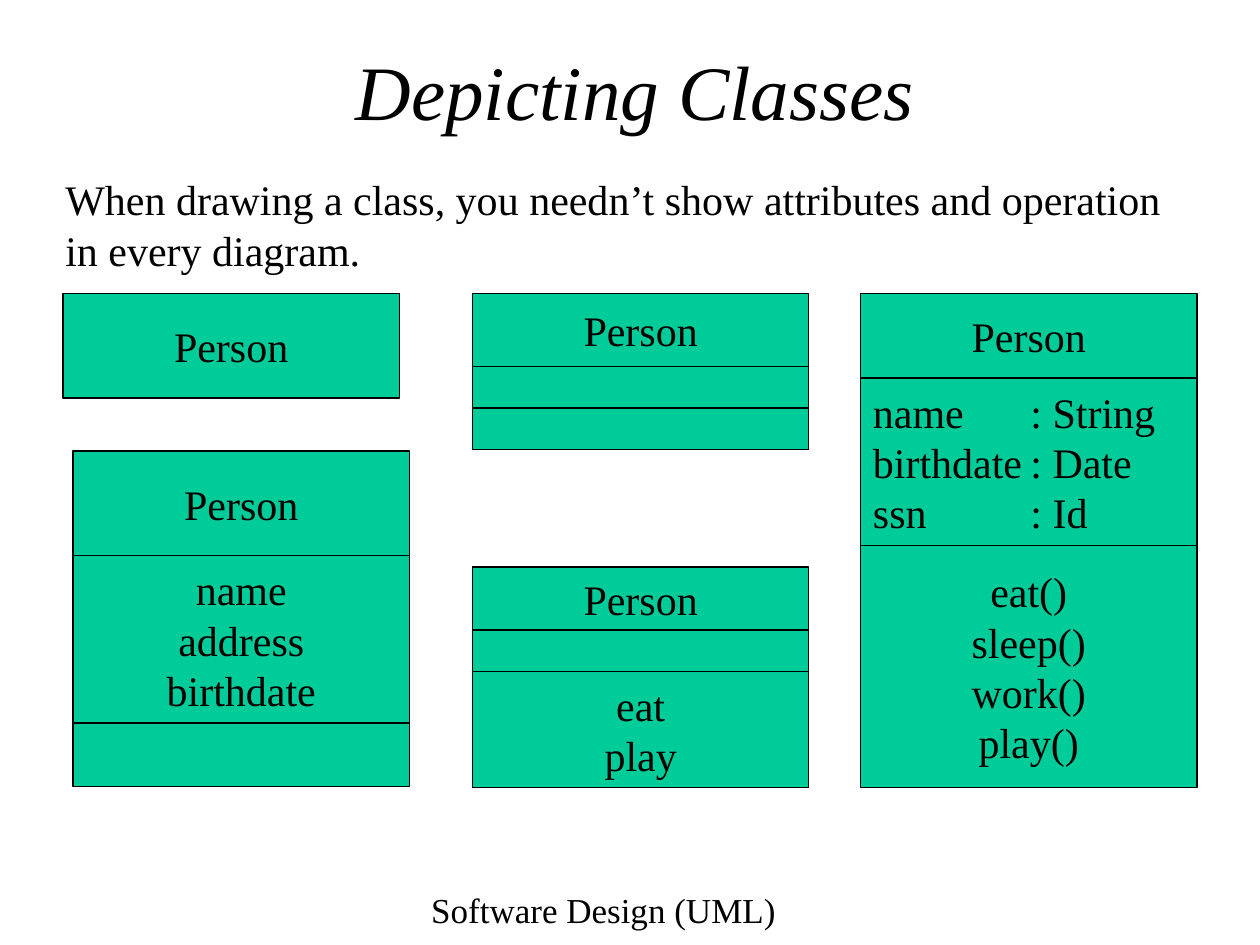
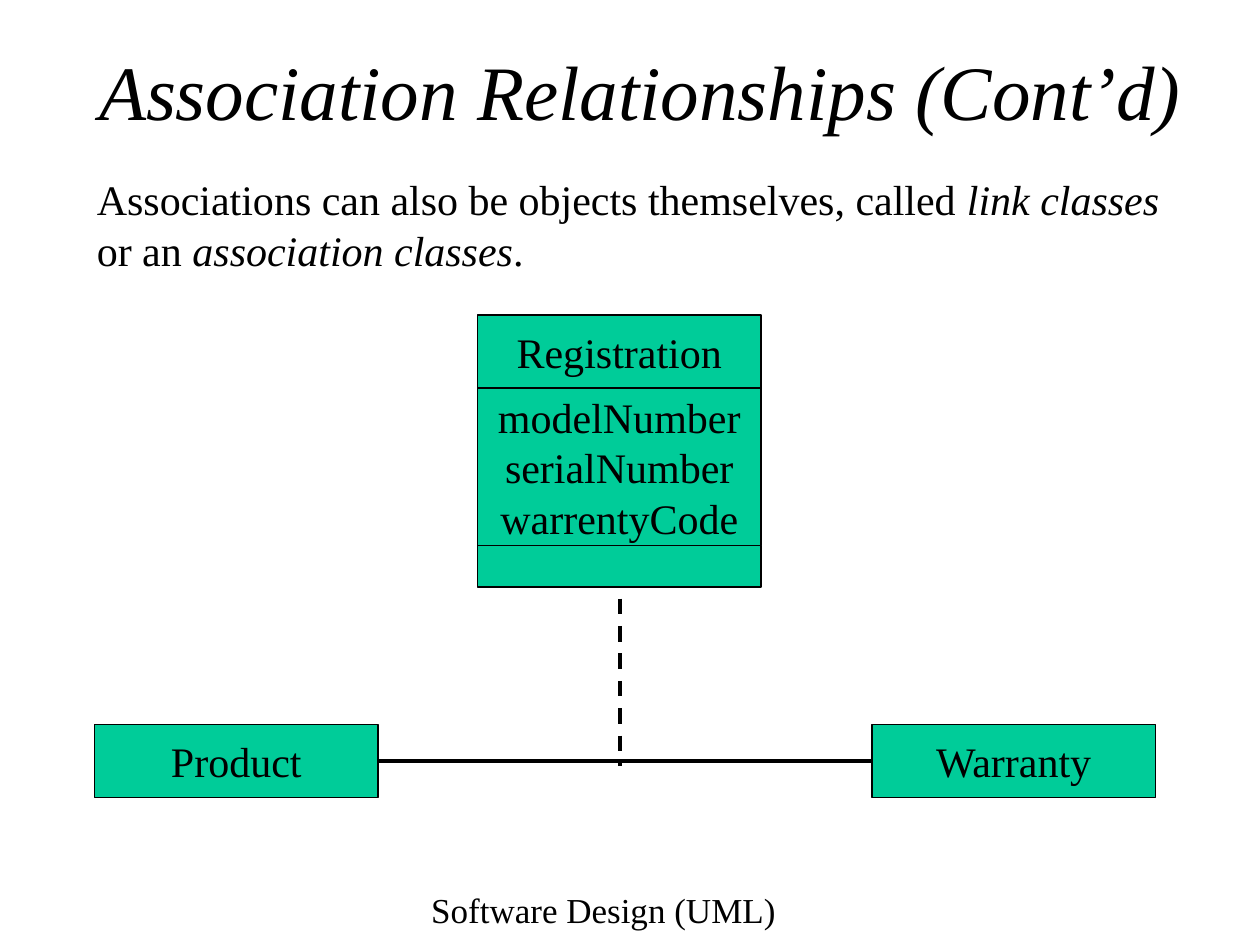
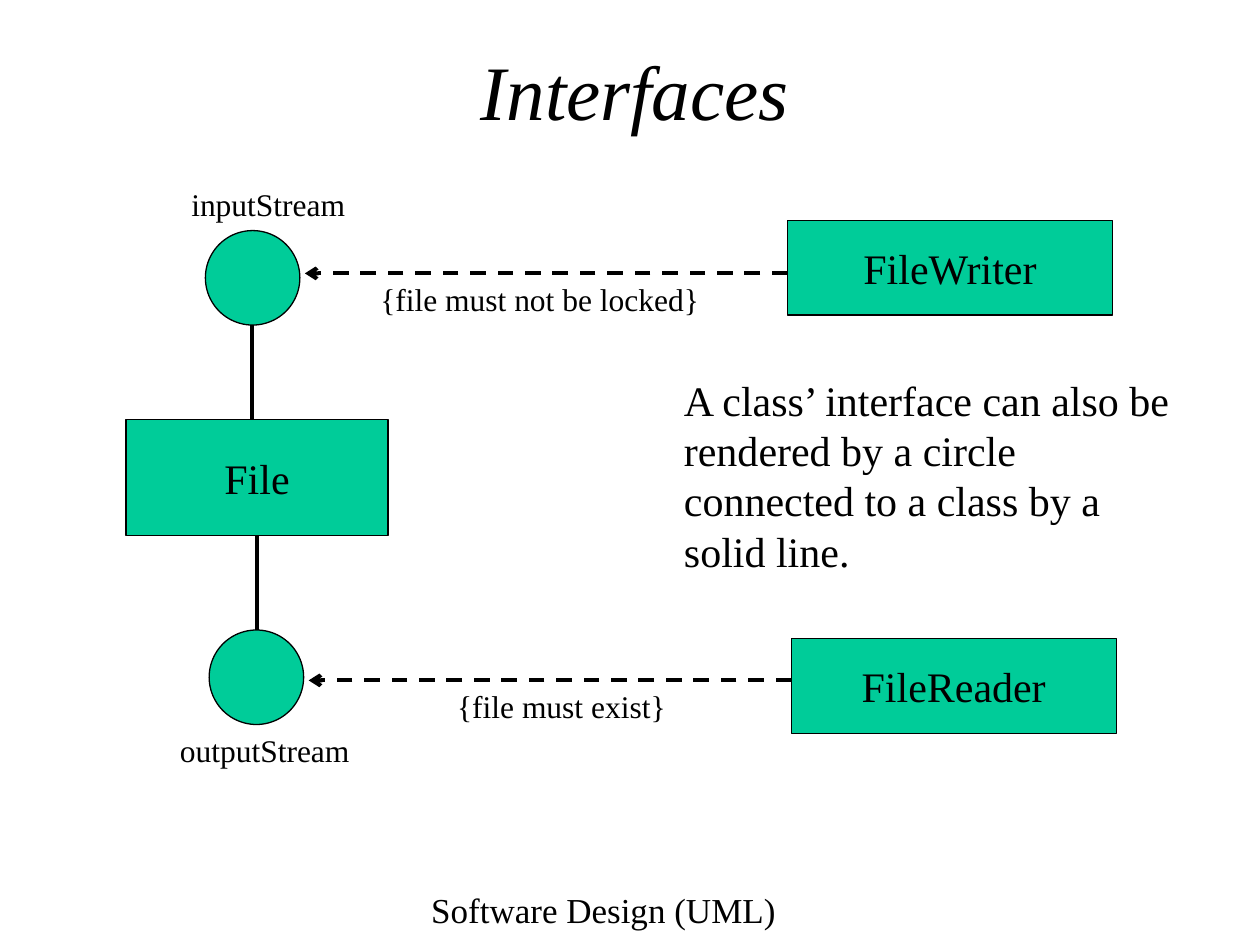
from dataclasses import dataclass

from lxml.etree import SubElement
from pptx import Presentation
from pptx.dml.color import RGBColor
from pptx.enum.dml import MSO_LINE
from pptx.enum.shapes import MSO_CONNECTOR, MSO_SHAPE
from pptx.enum.text import MSO_ANCHOR, PP_ALIGN
from pptx.oxml.ns import qn
from pptx.util import Inches, Pt


@dataclass(frozen=True)
class Theme:
    """Colours, type sizes and line widths of the deck."""

    font: str = "Times New Roman"
    ink: RGBColor = RGBColor(0x00, 0x00, 0x00)
    fill: RGBColor = RGBColor(0x00, 0xCC, 0x99)
    title: int = 44
    body: int = 24
    foot: int = 20
    label: int = 18
    edge: float = 0.75
    link: float = 2.25


THEME = Theme()
FOOT = "Software Design (UML)"


def place(box):
    """Turn a box in inches into lengths."""
    return [Inches(side) for side in box]


def write(frame, text, size=THEME.body, align=PP_ALIGN.LEFT, italic=False,
          anchor=MSO_ANCHOR.TOP, inset=(0.1, 0.05), tab=None):
    """Fill a frame with one paragraph a line; *stars* mark italics."""
    frame.word_wrap = True
    frame.vertical_anchor = anchor
    frame.margin_left = frame.margin_right = Inches(inset[0])
    frame.margin_top = frame.margin_bottom = Inches(inset[1])
    for row, line in enumerate(text.split("\n")):
        para = frame.add_paragraph() if row else frame.paragraphs[0]
        para.alignment = align
        if tab:
            stops = SubElement(para._p.get_or_add_pPr(), qn("a:tabLst"))
            SubElement(stops, qn("a:tab"), pos=str(Inches(tab)), algn="l")
        for part, words in enumerate(line.split("*")):
            run = para.add_run()
            run.text = words
            run.font.name = THEME.font
            run.font.size = Pt(size)
            run.font.color.rgb = THEME.ink
            run.font.italic = italic or part % 2 == 1


def note(slide, box, text, **style):
    """Add a text box."""
    write(slide.shapes.add_textbox(*place(box)).text_frame, text, **style)


def block(slide, box, text="", kind=MSO_SHAPE.RECTANGLE, **style):
    """Add a filled, outlined shape with middle text."""
    shape = slide.shapes.add_shape(kind, *place(box))
    shape.shadow.inherit = False
    shape.fill.solid()
    shape.fill.fore_color.rgb = THEME.fill
    shape.line.color.rgb = THEME.ink
    shape.line.width = Pt(THEME.edge)
    if text:
        style = {"align": PP_ALIGN.CENTER, "anchor": MSO_ANCHOR.MIDDLE, **style}
        write(shape.text_frame, text, **style)
    return shape


def link(slide, start, stop, dash=False, arrow=False, begin=None, end=None):
    """Add a line, joined to the (shape, site) pairs in begin and end."""
    line = slide.shapes.add_connector(MSO_CONNECTOR.STRAIGHT, *place(start + stop))
    if begin:
        line.begin_connect(*begin)
    if end:
        line.end_connect(*end)
    line.line.color.rgb = THEME.ink
    line.line.width = Pt(THEME.link)
    props = line._element.spPr
    if dash:
        line.line.dash_style = MSO_LINE.DASH
    if arrow:
        SubElement(props.find(qn("a:ln")), qn("a:tailEnd"), type="arrow")
    SubElement(props, qn("a:effectLst"))


def uml(slide, left, top, width, parts):
    """Stack the compartments of a class, each a height and its text."""
    for height, text, *tab in parts:
        style = {"align": PP_ALIGN.LEFT, "tab": tab[0]} if tab else {}
        block(slide, (left, top, width, height), text, **style)
        top += height


def client(slide, left, top, name, rule, offset, drop, width):
    """Draw a class whose dashed arrow points left, with its rule below."""
    block(slide, (left, top, 2.58, 0.75), name)
    level = top + drop
    link(slide, (left, level), (left - 3.83, level), dash=True, arrow=True)
    note(slide, (left - offset, level, width, 0.4), rule, size=THEME.label)


def page(deck, title, box=(0.75, 0.42, 8.58, 0.58)):
    """Add a slide with its footer and title."""
    slide = deck.slides.add_slide(deck.slide_layouts[6])
    note(slide, (2.58, 7, 4.42, 0.5), FOOT, size=THEME.foot, align=PP_ALIGN.CENTER)
    note(slide, box, title, size=THEME.title, align=PP_ALIGN.CENTER,
         italic=True, anchor=MSO_ANCHOR.MIDDLE, inset=(0, 0))
    return slide


def classes(deck):
    """Build the slide on ways to draw a class."""
    slide = page(deck, "Depicting Classes")
    note(slide, (0.42, 1.33, 9.13, 0.9),
         "When drawing a class, you needn’t show attributes and operation "
         "in every diagram.")
    fields = "name\t: String\nbirthdate\t: Date\nssn\t: Id"
    acts = "eat()\nsleep()\nwork()\nplay()"
    for left, top, parts in (
        (6.83, 2.33, [(0.67, "Person"), (1.33, fields, 1.25), (1.92, acts)]),
        (0.5, 2.33, [(0.83, "Person")]),
        (0.58, 3.58, [(0.83, "Person"), (1.33, "name\naddress\nbirthdate"), (0.5, "")]),
        (3.75, 4.5, [(0.5, "Person"), (0.33, ""), (0.92, "eat\nplay")]),
        (3.75, 2.33, [(0.58, "Person"), (0.33, ""), (0.33, "")]),
    ):
        uml(slide, left, top, 2.67, parts)


def relations(deck):
    """Build the slide on link classes."""
    slide = page(deck, "Association Relationships (Cont’d)", (0.67, 0.42, 8.83, 0.58))
    note(slide, (0.67, 1.33, 8.87, 0.9),
         "Associations can also be objects themselves, called *link classes* "
         "or an *association classes*.")
    left, right = [block(slide, (side, 5.75, 2.25, 0.58), name)
                   for side, name in ((0.75, "Product"), (6.92, "Warranty"))]
    link(slide, (3, 6.04), (6.92, 6.04), begin=(left, 3), end=(right, 1))
    link(slide, (4.92, 4.75), (4.92, 6.08), dash=True)
    uml(slide, 3.79, 2.5, 2.25, [
        (0.58, "Registration"),
        (1.25, "modelNumber\nserialNumber\nwarrentyCode"),
        (0.33, ""),
    ])


def faces(deck):
    """Build the slide on interfaces."""
    slide = page(deck, "Interfaces")
    note(slide, (5.33, 2.92, 4.17, 1.7),
         "A class’ interface can also be rendered by a circle connected "
         "to a class by a solid line.")
    file = block(slide, (1, 3.33, 2.08, 0.92), "File")
    for spot in ((1.63, 1.83), (1.66, 5)):
        block(slide, (*spot, 0.75, 0.75), kind=MSO_SHAPE.OVAL)
    link(slide, (2, 2.58), (2, 3.33))
    link(slide, (2.04, 5), (2.04, 4.25), end=(file, 2))
    for left, top, name in ((1.42, 1.42, "inputStream"), (1.33, 5.75, "outputStream")):
        note(slide, (left, top, 1.67, 0.4), name, size=THEME.label)
    client(slide, 6.25, 1.75, "FileWriter", "{file must not be locked}", 3.33, 0.42, 3.17)
    client(slide, 6.28, 5.07, "FileReader", "{file must exist}", 2.75, 0.33, 2)


def main():
    """Build and save the deck."""
    deck = Presentation()
    deck.slide_width, deck.slide_height = Inches(10), Inches(7.5)
    for build in (classes, relations, faces):
        build(deck)
    deck.save("out.pptx")


if __name__ == "__main__":
    main()
